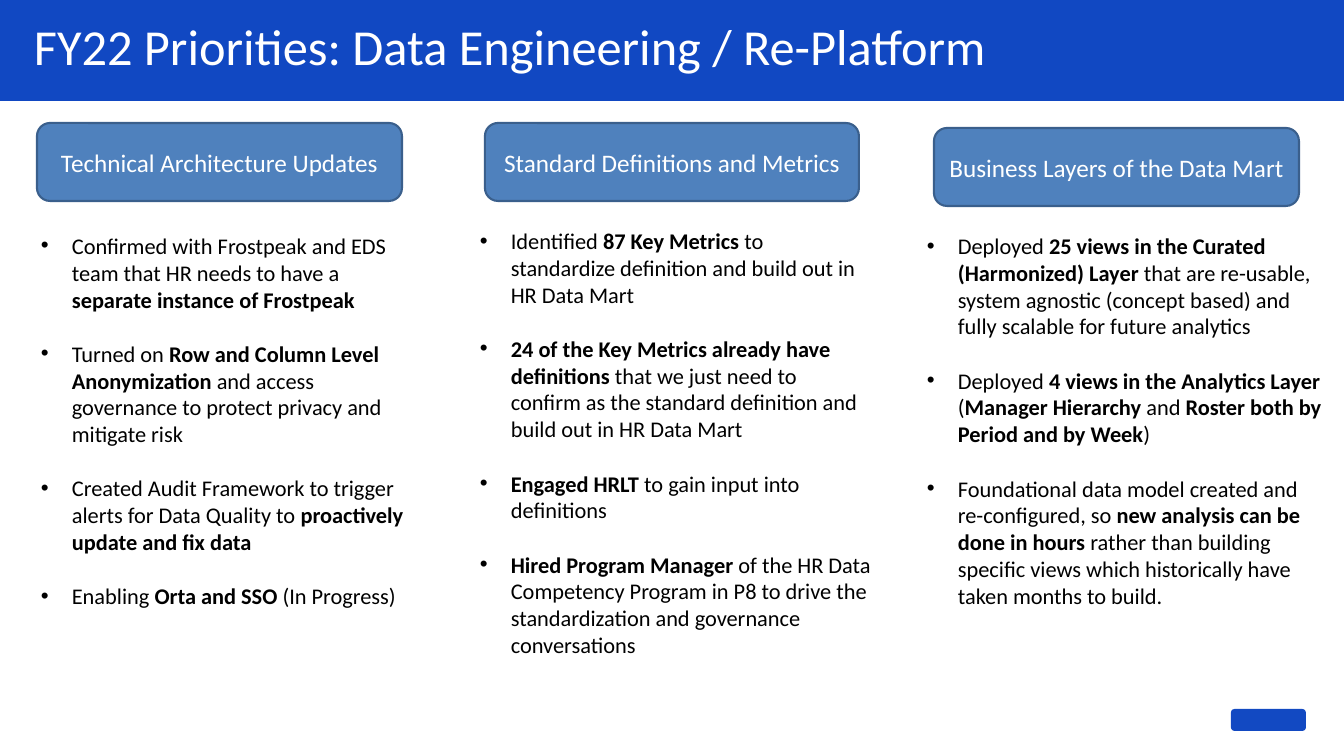
"""Build the FY22 data engineering priorities slide."""
from dataclasses import dataclass

from lxml import etree
from pptx import Presentation
from pptx.dml.color import RGBColor
from pptx.enum.shapes import MSO_SHAPE
from pptx.enum.text import MSO_ANCHOR, PP_ALIGN
from pptx.oxml.ns import qn
from pptx.util import Pt

RECT = MSO_SHAPE.RECTANGLE
ROUNDED = MSO_SHAPE.ROUNDED_RECTANGLE
CENTER = PP_ALIGN.CENTER
TOP, MIDDLE = MSO_ANCHOR.TOP, MSO_ANCHOR.MIDDLE

TITLE = "FY22 Priorities: Data Engineering / Re-Platform"
COLUMNS = [
    {
        "heading": "Technical Architecture Updates",
        "heading_box": (37, 123, 365, 78),
        "body_box": (31, 227, 392, 452),
        "bullets": [
            "Confirmed with Frostpeak and EDS team that HR needs to have a "
            "**separate instance of Frostpeak**",
            "Turned on **Row and Column Level Anonymization** and access "
            "governance to protect privacy and mitigate risk",
            "Created Audit Framework to trigger alerts for Data Quality to "
            "**proactively update and fix data**",
            "Enabling **Orta and SSO** (In Progress)",
        ],
    },
    {
        "heading": "Standard Definitions and Metrics",
        "heading_box": (485, 123, 374, 78),
        "body_box": (470, 222, 412, 475),
        "bullets": [
            "Identified **87 Key Metrics** to standardize definition and "
            "build out in HR Data Mart",
            "**24 of the Key Metrics already have definitions** that we just "
            "need to confirm as the standard definition and build out in HR Data Mart",
            "**Engaged HRLT **to gain input into definitions",
            "**Hired Program Manager** of the HR Data Competency Program in P8 "
            "to drive the standardization and governance conversations",
        ],
    },
    {
        "heading": "Business Layers of the Data Mart",
        "heading_box": (934, 128, 365, 78),
        "body_box": (917, 227, 416, 390),
        "bullets": [
            "Deployed **25 views in the Curated (Harmonized) Layer** that are "
            "re-usable, system agnostic (concept based) and fully scalable "
            "for future analytics",
            "Deployed **4 views in the Analytics Layer** (**Manager Hierarchy** "
            "and **Roster both by Period and by Week**)",
            "Foundational data model created and re-configured, so **new "
            "analysis can be done in hours** rather than building specific "
            "views which historically have taken months to build.",
        ],
    },
]

SLIDE_W, SLIDE_H = 1344, 756
BANNER_BOX = (0, 0, SLIDE_W, 101)
TITLE_BOX = (24, 17, 1282, 72)
BADGE_BOX = (1231, 709, 75, 22)
BULLET_INDENT = 31
EMU_PER_PX = 914400 / 100.8


@dataclass(frozen=True)
class Theme:
    font: str = "Calibri"
    banner: str = "1148C2"
    badge: str = "1249C2"
    heading_fill: str = "4F81BD"
    heading_line: str = "3A5F8C"
    light: str = "FFFFFF"
    dark: str = "000000"
    title_size: float = 36
    heading_size: float = 18
    body_size: float = 16
    bullet_gap: float = 19.5
    line_width: float = 1.5


THEME = Theme()


def px(n):
    return round(n * EMU_PER_PX)


def place(box):
    return [px(n) for n in box]


def style_run(r, size, color, bold=False):
    r.font.name = THEME.font
    r.font.size = Pt(size)
    r.font.bold = bold
    r.font.color.rgb = RGBColor.from_string(color)


def add_block(slide, preset, box, fill, line=None):
    sp = slide.shapes.add_shape(preset, *place(box))
    sp.shadow.inherit = False
    sp.fill.solid()
    sp.fill.fore_color.rgb = RGBColor.from_string(fill)
    if line:
        sp.line.color.rgb = RGBColor.from_string(line)
        sp.line.width = Pt(THEME.line_width)
    else:
        sp.line.fill.background()
    return sp


def add_text_frame(slide, box):
    tf = slide.shapes.add_textbox(*place(box)).text_frame
    tf.word_wrap = True
    tf.vertical_anchor = TOP
    return tf


def add_title(slide):
    tf = add_text_frame(slide, TITLE_BOX)
    tf.text = TITLE
    p = tf.paragraphs[0]
    p.line_spacing = 0.9
    style_run(p.runs[0], THEME.title_size, THEME.light)


def add_heading(slide, text, box):
    sp = add_block(slide, ROUNDED, box, THEME.heading_fill, THEME.heading_line)
    tf = sp.text_frame
    tf.word_wrap = True
    tf.margin_left = tf.margin_right = 0
    tf.vertical_anchor = MIDDLE
    tf.text = text
    p = tf.paragraphs[0]
    p.alignment = CENTER
    style_run(p.runs[0], THEME.heading_size, THEME.light)


def make_bullet(p):
    pPr = p._p.get_or_add_pPr()
    pPr.set("marL", str(px(BULLET_INDENT)))
    pPr.set("indent", str(-px(BULLET_INDENT)))
    etree.SubElement(pPr, qn("a:buFont")).set("typeface", "Arial")
    etree.SubElement(pPr, qn("a:buChar")).set("char", "•")


def add_bullets(slide, bullets, box):
    tf = add_text_frame(slide, box)
    for i, text in enumerate(bullets):
        p = tf.add_paragraph() if i else tf.paragraphs[0]
        make_bullet(p)
        if i:
            p.space_before = Pt(THEME.bullet_gap)
        for j, part in enumerate(text.split("**")):
            if part:
                r = p.add_run()
                r.text = part
                style_run(r, THEME.body_size, THEME.dark, bold=j % 2 == 1)


def main():
    prs = Presentation()
    prs.slide_width, prs.slide_height = px(SLIDE_W), px(SLIDE_H)
    slide = prs.slides.add_slide(prs.slide_layouts[6])
    add_block(slide, ROUNDED, BADGE_BOX, THEME.badge)
    add_block(slide, RECT, BANNER_BOX, THEME.banner)
    add_title(slide)
    for column in COLUMNS:
        add_bullets(slide, column["bullets"], column["body_box"])
        add_heading(slide, column["heading"], column["heading_box"])
    prs.save("out.pptx")


if __name__ == "__main__":
    main()
